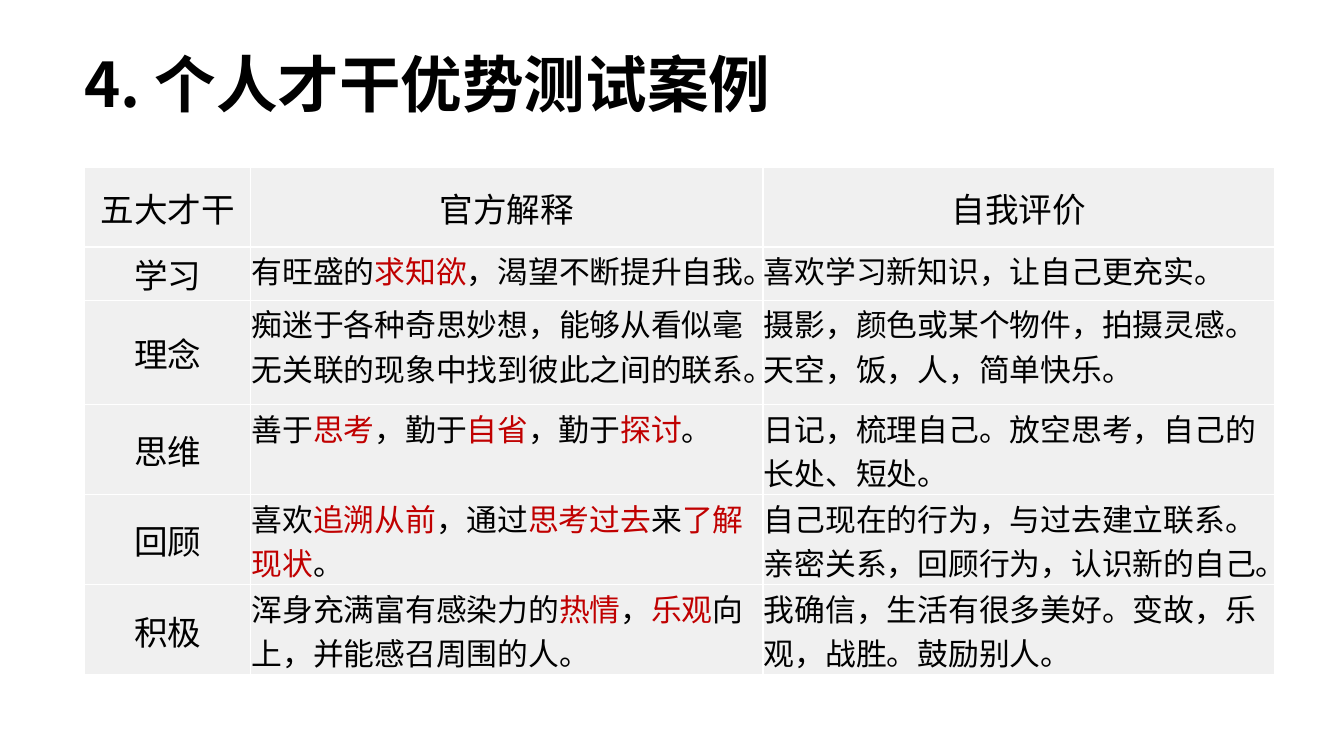
from dataclasses import dataclass

from lxml import etree
from pptx import Presentation
from pptx.dml.color import RGBColor
from pptx.enum.text import MSO_ANCHOR, PP_ALIGN
from pptx.oxml.ns import qn
from pptx.util import Pt

MIDDLE, TOP = MSO_ANCHOR.MIDDLE, MSO_ANCHOR.TOP
CENTER, LEFT = PP_ALIGN.CENTER, PP_ALIGN.LEFT


@dataclass(frozen=True)
class Theme:
    font: str = "Noto Sans CJK SC"
    ink: str = "000000"
    accent: str = "C00000"
    fill: str = "F0F0F0"
    edge: str = "FFFFFF"
    title: int = 44
    label: int = 24
    body: int = 22


THEME = Theme()
TITLE = "4. 个人才干优势测试案例"
COLS = [118.5, 366, 365.5]
ROWS = [57, 38, 74.5, 59, 59, 59]
MARK = "*"
TALENTS = [
    ["五大才干", "官方解释", "自我评价"],
    ["学习", "有旺盛的*求知欲*，渴望不断提升自我。",
     "喜欢学习新知识，让自己更充实。"],
    ["理念", "痴迷于各种奇思妙想，能够从看似毫无关联的现象中找到彼此之间的联系。",
     "摄影，颜色或某个物件，拍摄灵感。 天空，饭，人，简单快乐。"],
    ["思维", "善于*思考*，勤于*自省*，勤于*探讨*。",
     "日记，梳理自己。放空思考，自己的长处、短处。"],
    ["回顾", "喜欢*追溯从前*，通过*思考过去*来*了解现状*。",
     "自己现在的行为，与过去建立联系。亲密关系，回顾行为，认识新的自己。"],
    ["积极", "浑身充满富有感染力的*热情*，*乐观*向上，并能感召周围的人。",
     "我确信，生活有很多美好。变故，乐观，战胜。鼓励别人。"],
]


def set_font(para, size, bold=False):
    font = para.font
    font.size = Pt(size)
    font.bold = bold
    font.color.rgb = RGBColor.from_string(THEME.ink)
    font.name = THEME.font
    props = para._p.pPr.find(qn("a:defRPr"))
    etree.SubElement(props, qn("a:ea"), typeface=THEME.font)


def add_runs(para, text):
    for i, part in enumerate(text.split(MARK)):
        run = para.add_run()
        run.text = part
        if i % 2:
            run.font.color.rgb = RGBColor.from_string(THEME.accent)


def set_edges(cell):
    props = cell._tc.get_or_add_tcPr()
    for i, side in enumerate(("lnL", "lnR", "lnT", "lnB")):
        line = etree.Element(qn(f"a:{side}"), w=str(Pt(1)))
        fill = etree.SubElement(line, qn("a:solidFill"))
        etree.SubElement(fill, qn("a:srgbClr"), val=THEME.edge)
        props.insert(i, line)


def fill_cell(cell, text, label):
    cell.margin_left = cell.margin_right = cell.margin_top = Pt(0.75)
    cell.margin_bottom = Pt(0)
    cell.vertical_anchor = MIDDLE if label else TOP
    cell.fill.solid()
    cell.fill.fore_color.rgb = RGBColor.from_string(THEME.fill)
    set_edges(cell)
    para = cell.text_frame.paragraphs[0]
    para.alignment = CENTER if label else LEFT
    set_font(para, THEME.label if label else THEME.body)
    add_runs(para, text)


def add_title(slide):
    title = slide.shapes.title
    title.left, title.top = Pt(52.8), Pt(10)
    title.width, title.height = Pt(828), Pt(104.4)
    frame = title.text_frame
    frame.vertical_anchor = MIDDLE
    para = frame.paragraphs[0]
    para.alignment = LEFT
    para.line_spacing = 0.9
    set_font(para, THEME.title, bold=True)
    add_runs(para, TITLE)


def add_grid(slide):
    frame = slide.shapes.add_table(len(ROWS), len(COLS), Pt(60.5), Pt(119.5),
                                   Pt(sum(COLS)), Pt(sum(ROWS)))
    table = frame.table
    table.first_row = table.horz_banding = False
    for col, width in zip(table.columns, COLS):
        col.width = Pt(width)
    for row, height in zip(table.rows, ROWS):
        row.height = Pt(height)
    for r, texts in enumerate(TALENTS):
        for c, text in enumerate(texts):
            fill_cell(table.cell(r, c), text, label=r == 0 or c == 0)


def main():
    deck = Presentation()
    deck.slide_width, deck.slide_height = Pt(960), Pt(540)
    slide = deck.slides.add_slide(deck.slide_layouts[5])
    add_title(slide)
    add_grid(slide)
    deck.save("out.pptx")


if __name__ == "__main__":
    main()
